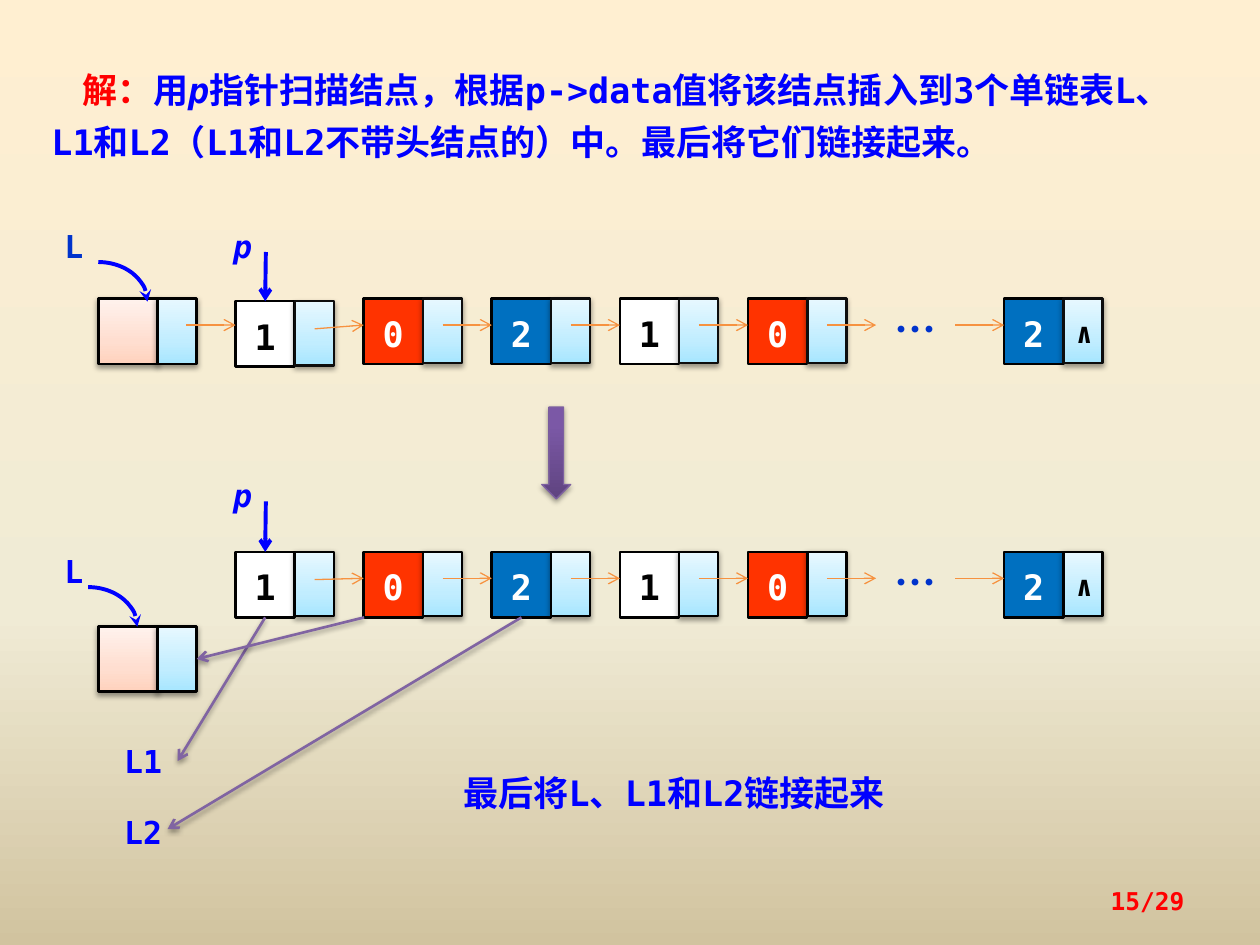
from lxml import etree
from pptx import Presentation
from pptx.dml.color import RGBColor
from pptx.enum.shapes import MSO_CONNECTOR, MSO_SHAPE
from pptx.enum.text import MSO_ANCHOR, PP_ALIGN
from pptx.oxml.ns import qn
from pptx.util import Inches, Pt

RECT, ARC, DOWN = MSO_SHAPE.RECTANGLE, MSO_SHAPE.ARC, MSO_SHAPE.DOWN_ARROW
STRAIGHT = MSO_CONNECTOR.STRAIGHT
LEFT, CENTER, RIGHT = PP_ALIGN.LEFT, PP_ALIGN.CENTER, PP_ALIGN.RIGHT
TOP, MIDDLE = MSO_ANCHOR.TOP, MSO_ANCHOR.MIDDLE

MONO, CJK = "DejaVu Sans Mono", "Noto Sans CJK SC"
BLACK, WHITE, RED, BLUE, NAVY = "000000", "FFFFFF", "FF0000", "0000FF", "0033CC"
ORANGE, PURPLE = "F69240", "8064A2"
SKY = [(0, "A7E6FF"), (35, "C1EDFF"), (100, "E7F8FF")]
PEACH = [(0, "FFD2BD"), (35, "FFDED0"), (100, "FFF2ED")]
PLUM = [(0, "5F4480"), (80, "7B58A6"), (100, "7C57A8")]
SAND = [(0, "FFEFD1"), (65, "F0EBD5"), (100, "D1C39F")]

# Cell value -> fill and text colour
TONES = {"0": ("FF3300", WHITE), "1": (WHITE, BLACK), "2": ("0070C0", WHITE)}
NODES = {0: "1", 1: "0", 2: "2", 3: "1", 4: "0", 6: "2"}  # column 5 is the ellipsis
START, PITCH = 1.87, 6.1 / 6
CELL, NEXT, HIGH = 0.47, 0.31, 0.52


def color(code):
    return RGBColor.from_string(code)


def sub(parent, tag, **attrs):
    return etree.SubElement(parent, qn(tag), {k: str(v) for k, v in attrs.items()})


def blend(fill, owner, stops, angle):
    fill.gradient()
    fill.gradient_angle = angle
    area = owner.xpath(".//a:gsLst")[0]
    for old in list(area):
        area.remove(old)
    for place, code in stops:
        stop = sub(area, "a:gs", pos=place * 1000)
        sub(stop, "a:srgbClr", val=code)


def shade(effects):
    drop = sub(effects, "a:outerShdw", blurRad=Pt(3.1), dist=Pt(1.6),
               dir=5400000, rotWithShape=0)
    sub(sub(drop, "a:srgbClr", val=BLACK), "a:alpha", val=38000)


class Board:
    def __init__(self, slide):
        self.slide = slide
        self.shapes = slide.shapes

    def put(self, frame, runs, size, align=CENTER, lead=1.1, bold=True):
        """Each run is (text, colour[, font[, italic]])."""
        para = frame.paragraphs[0]
        para.alignment, para.line_spacing = align, lead
        for text, tone, *rest in runs:
            run = para.add_run()
            run.text = text
            font = run.font
            font.name = rest[0] if rest else MONO
            font.size, font.bold = Pt(size), bold
            font.italic = len(rest) > 1
            font.color.rgb = color(tone)
            sub(font._element, "a:ea", typeface=CJK)
        return para

    def label(self, x, y, w, h, runs, size, pad=0, anchor=TOP, **style):
        box = self.shapes.add_textbox(*map(Inches, (x, y, w, h)))
        frame = box.text_frame
        frame.word_wrap, frame.vertical_anchor = True, anchor
        frame.margin_left = frame.margin_right = Inches(pad)
        frame.margin_top = frame.margin_bottom = Inches(pad / 2)
        return self.put(frame, runs, size, **style)

    def shape(self, kind, x, y, w, h, fill, edge=BLACK, width=1.5, shadow=False):
        item = self.shapes.add_shape(kind, *map(Inches, (x, y, w, h)))
        item.shadow.inherit = False
        if fill is None:
            item.fill.background()
        elif isinstance(fill, str):
            item.fill.solid()
            item.fill.fore_color.rgb = color(fill)
        else:
            blend(item.fill, item.element, fill, 90)
        item.line.color.rgb, item.line.width = color(edge), Pt(width)
        if shadow:
            shade(item.element.spPr.find(qn("a:effectLst")))
        return item

    def cell(self, x, y, w, h, fill, text="", tone=BLACK, size=20, **style):
        item = self.shape(RECT, x, y, w, h, fill, **style)
        if text:
            item.text_frame.vertical_anchor = MIDDLE
            self.put(item.text_frame, [(text, tone)], size)
        return item

    def arrow(self, x1, y1, x2, y2, tone, width, shadow=False):
        line = self.shapes.add_connector(STRAIGHT, *map(Inches, (x1, y1, x2, y2)))
        line.line.color.rgb, line.line.width = color(tone), Pt(width)
        sub(line.line._ln, "a:tailEnd", type="arrow")
        effects = sub(line.element.spPr, "a:effectLst")
        if shadow:
            shade(effects)
        return line

    def curve(self, x, y):
        arc = self.shape(ARC, x, y, 0.78, 0.63, None, BLUE, 2.25)
        sub(arc.line._ln, "a:tailEnd", type="stealth")

    def head(self, y):
        """Header node without data; returns its pointer part."""
        self.cell(0.78, y, CELL, HIGH, PEACH, shadow=True)
        return self.cell(1.25, y, NEXT, HIGH, SKY, shadow=True)

    def chain(self, y, drop, tilt, edge):
        """Row of data nodes; returns the data cells by column."""
        cells = {}
        for col, value in NODES.items():
            x, top = START + col * PITCH, y + (drop if col == 0 else 0)
            fill, tone = TONES[value]
            cells[col] = self.cell(x, top, CELL, HIGH, fill, value, tone)
            self.cell(x + CELL, top, NEXT, HIGH - 0.01, SKY,
                      "∧" if col == 6 else "", size=16, edge=edge, shadow=True)
        for col in range(1, 7):
            x = START + col * PITCH
            self.link(x, y + 0.21, tilt if col == 1 else 0)
        self.label(6.92, y, 0.7, 0.39, [("…", NAVY, CJK)], 24)
        return cells

    def link(self, x, y, tilt=0):
        self.arrow(x - 0.39, y + tilt, x, y, ORANGE, 0.75)

    def name(self, x, y, text, tone=BLUE, *font):
        self.label(x, y, 0.39, 0.31, [(text, tone, *font)], 18)

    def scan(self, y, cell):
        """Pointer p above the first data cell."""
        self.name(1.73, y, "p", BLUE, MONO, True)
        line = self.arrow(2.11, y + 0.23, 2.11, y + 0.62, BLUE, 2.25)
        line.end_connect(cell, 0)


def main():
    deck = Presentation()
    deck.slide_width, deck.slide_height = Inches(10), Inches(7.5)
    slide = deck.slides.add_slide(deck.slide_layouts[6])
    blend(slide.background.fill, slide.element, SAND, 270)
    board = Board(slide)

    # Statement
    para = board.label(0.31, 0.41, 9.38, 0.94, [
        ("解：", RED, CJK), ("用", BLUE), ("p", BLUE, MONO, True),
        ("指针扫描结点，根据p->data值将该结点插入到3个单链表"
         "L、L1和L2（L1和L2不带头结点的）中。最后将它们链接起来。", BLUE),
    ], 20, pad=0.1, align=LEFT, lead=Pt(30))
    para._p.get_or_add_pPr().set("indent", str(Inches(0.25)))

    # Single list before the split
    cells = board.chain(2.37, 0.02, 0.03, "0D0D0D")
    board.head(2.37)
    board.link(START, 2.58)
    board.curve(0.39, 2.08)
    board.name(0.39, 1.77, "L", NAVY)
    board.scan(1.77, cells[0])

    # Step arrow
    board.shape(DOWN, 4.3, 3.23, 0.23, 0.73, PLUM, "7D60A0", 0.75, shadow=True)

    # Nodes sent to the three lists
    cells = board.chain(4.38, 0, 0.01, BLACK)
    target = board.head(4.97)
    board.curve(0.31, 4.66)
    board.name(0.39, 4.35, "L")
    board.scan(3.75, cells[0])
    board.name(0.94, 5.86, "L1")
    board.name(0.94, 6.42, "L2")
    for col, x, y in ((0, 1.41, 6.04), (2, 1.33, 6.58)):
        line = board.arrow(2.11, 4.9, x, y, PURPLE, 1.5, shadow=True)
        line.begin_connect(cells[col], 2)
    line = board.arrow(2.89, 4.9, 1.56, 5.23, PURPLE, 1.5, shadow=True)
    line.end_connect(target, 3)

    # Closing remark and page number
    board.label(3.28, 6.04, 4.14, 0.45,
                [("最后将L、L1和L2链接起来", BLUE)], 20, pad=0.1)
    board.label(7.17, 6.95, 2.33, 0.4, [("15/29", RED)], 14, pad=0.1,
                anchor=MIDDLE, align=RIGHT, lead=1.0)

    deck.save("out.pptx")


if __name__ == "__main__":
    main()
